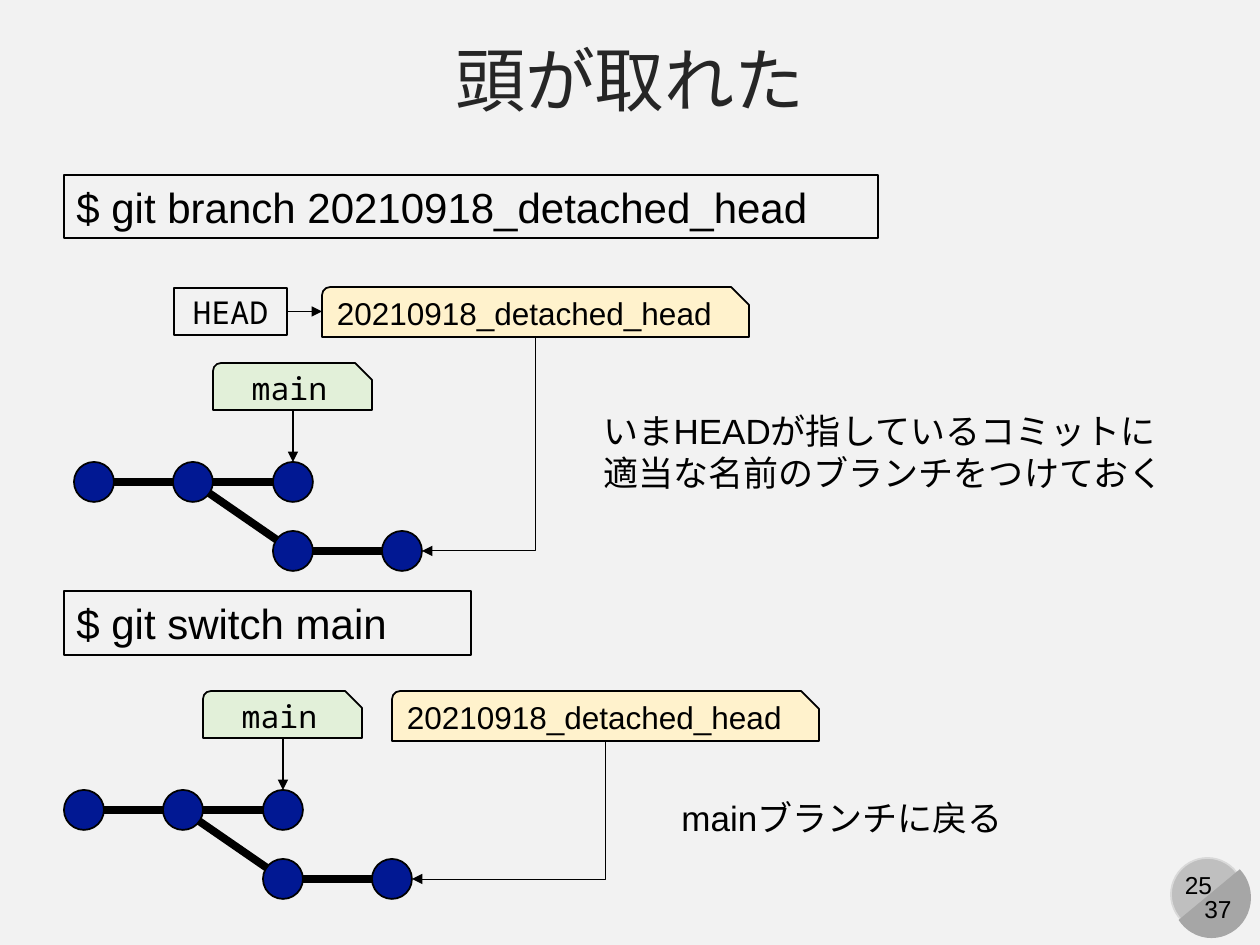
import math

import lxml.etree
import pptx
import pptx.dml.color
import pptx.enum.shapes
import pptx.enum.text
import pptx.oxml.ns
import pptx.util

PIXEL = 914400 / 126
SHAPE = pptx.enum.shapes.MSO_SHAPE
ALIGN = pptx.enum.text.PP_ALIGN
ANCHOR = pptx.enum.text.MSO_ANCHOR

THEME = {
    "background": "F2F2F2", "ink": "000000", "title": "262626",
    "commit": "011893", "main": "E2F0D9", "branch": "FFF2CC",
    "badge": "BFBFBF", "badge_line": "D9D9D9", "badge_shade": "A6A6A6",
    "sans": "Arial", "mono": "Noto Sans Mono",
    "title_size": 40, "command_size": 24, "note_size": 20, "label_size": 18, "page_size": 14,
}

# Content: boxes are left, top, width, height
TITLE = ("頭が取れた", (0, 26, 1260, 104))
COMMANDS = [
    ("$ git branch 20210918_detached_head", (64, 175, 814, 63)),
    ("$ git switch main", (64, 591, 407, 64)),
]
NOTES = [
    ("いまHEADが指しているコミットに\n適当な名前のブランチをつけておく", (591, 403, 645, 97)),
    ("mainブランチに戻る", (669, 790, 407, 55)),
]
PAGE_NUMBERS = [("25", (1171, 864, 55, 43), False), ("37", (1184, 888, 68, 43), True)]
BRANCH_NAME = "20210918_detached_head"

# Commit graph, measured from the centre of its first commit
COMMITS = [(0, 0), (99, 0), (199, 0), (199, 69), (308, 69)]
EDGES = [(0, 1), (1, 2), (1, 3), (3, 4)]
MAIN_TIP, BRANCH_TIP = 2, 4
RADIUS = 20
MAIN_OFFSET, MAIN_SIZE = (119, -119), (159, 47)
BRANCH_SIZE = (427, 50)
GRAPHS = [
    {"origin": (94, 482), "branch": (322, 287), "head": (174, 288, 113, 47)},
    {"origin": (84, 810), "branch": (392, 691), "head": None},
]


def emu(pixels):
    return pptx.util.Emu(round(pixels * PIXEL))


def color(name):
    return pptx.dml.color.RGBColor.from_string(THEME[name])


def add_text(shape, text, size="label_size", font="sans", ink="ink",
             align=ALIGN.LEFT, anchor=ANCHOR.MIDDLE, wrap=True):
    frame = shape.text_frame
    frame.word_wrap = wrap
    frame.vertical_anchor = anchor
    frame.text = text
    for para in frame.paragraphs:
        para.alignment = align
        for span in para.runs:
            span.font.size = pptx.util.Pt(THEME[size])
            span.font.name = THEME[font]
            span.font.color.rgb = color(ink)


def add_box(kind, box, fill=None, line="ink", width=1, adjust=()):
    shape = page.shapes.add_shape(kind, *map(emu, box))
    shape.shadow.inherit = False
    for index, value in enumerate(adjust):
        shape.adjustments[index] = value
    if fill:
        shape.fill.solid()
        shape.fill.fore_color.rgb = color(fill)
    else:
        shape.fill.background()
    if line:
        shape.line.color.rgb = color(line)
        shape.line.width = pptx.util.Pt(width)
    else:
        shape.line.fill.background()
    return shape


def add_textbox(text, box, **style):
    add_text(page.shapes.add_textbox(*map(emu, box)), text, **style)


def add_line(start, end, width, arrow=False):
    line = page.shapes.add_connector(
        pptx.enum.shapes.MSO_CONNECTOR.STRAIGHT, *map(emu, (*start, *end)))
    line.line.color.rgb = color("ink")
    line.line.width = pptx.util.Pt(width)
    properties = line._element.spPr
    lxml.etree.SubElement(properties, pptx.oxml.ns.qn("a:effectLst"))
    if arrow:
        outline = line.line._get_or_add_ln()
        lxml.etree.SubElement(outline, pptx.oxml.ns.qn("a:tailEnd"), type="triangle")
    return line


def add_down_left_arrow(start, end, width):
    """One bend: a quarter-turned bentConnector2 runs down, then left."""
    across, down = start[0] - end[0], end[1] - start[1]
    middle_x, middle_y = (start[0] + end[0]) / 2, (start[1] + end[1]) / 2
    left, top = middle_x - down / 2, middle_y - across / 2
    line = add_line((left, top), (left + down, top + across), width, arrow=True)
    properties = line._element.spPr
    properties.find(pptx.oxml.ns.qn("a:prstGeom")).set("prst", "bentConnector2")
    properties.find(pptx.oxml.ns.qn("a:xfrm")).set("rot", str(90 * 60000))


def add_edge(first, second):
    """Join the rims of two commits."""
    length = math.dist(first, second)
    step = [(b - a) * RADIUS / length for a, b in zip(first, second)]
    add_line((first[0] + step[0], first[1] + step[1]),
             (second[0] - step[0], second[1] - step[1]), 4.5)


def add_label(text, box, fill, **style):
    label = add_box(SHAPE.SNIP_ROUND_RECTANGLE, box, fill, adjust=(0.167, 0.359))
    add_text(label, text, **style)


def add_graph(origin, branch, head):
    centres = [(origin[0] + x, origin[1] + y) for x, y in COMMITS]
    for first, second in EDGES:
        add_edge(centres[first], centres[second])
    for x, y in centres:
        add_box(SHAPE.OVAL, (x - RADIUS, y - RADIUS, 2 * RADIUS, 2 * RADIUS), "commit")

    # Main label and its arrow
    left, top = origin[0] + MAIN_OFFSET[0], origin[1] + MAIN_OFFSET[1]
    add_label("main", (left, top, *MAIN_SIZE), "main", font="mono", align=ALIGN.CENTER)
    tip_x, tip_y = centres[MAIN_TIP]
    add_line((tip_x, top + MAIN_SIZE[1]), (tip_x, tip_y - RADIUS), 1, arrow=True)

    # Branch label and its bent arrow
    add_label(BRANCH_NAME, (*branch, *BRANCH_SIZE), "branch")
    tip_x, tip_y = centres[BRANCH_TIP]
    add_down_left_arrow((branch[0] + BRANCH_SIZE[0] / 2, branch[1] + BRANCH_SIZE[1]),
                        (tip_x + RADIUS, tip_y), 0.5)

    # HEAD pointer
    if head:
        add_text(add_box(SHAPE.RECTANGLE, head), "HEAD", font="mono", align=ALIGN.CENTER)
        middle = head[1] + head[3] / 2
        add_line((head[0] + head[2], middle), (branch[0], middle), 0.5, arrow=True)


deck = pptx.Presentation()
deck.slide_width, deck.slide_height = emu(1260), emu(945)
page = deck.slides.add_slide(deck.slide_layouts[6])
page.background.fill.solid()
page.background.fill.fore_color.rgb = color("background")

# Page number badge
add_box(SHAPE.OVAL, (1171, 858, 73, 73), "badge", "badge_line")
shade = add_box(SHAPE.CHORD, (1171, 858, 81, 79), "badge_shade", None, adjust=(27, 141.424))
shade.rotation = 270
for number, box, wrap in PAGE_NUMBERS:
    add_textbox(number, box, size="page_size", align=ALIGN.CENTER, anchor=ANCHOR.TOP, wrap=wrap)

# Title, commands and notes
add_textbox(*TITLE, size="title_size", ink="title", align=ALIGN.CENTER)
for command, box in COMMANDS:
    add_text(add_box(SHAPE.RECTANGLE, box, width=0.75), command,
             size="command_size", anchor=ANCHOR.TOP)
for note, box in NOTES:
    add_textbox(note, box, size="note_size", anchor=ANCHOR.TOP)

# Commit graphs
for graph in GRAPHS:
    add_graph(**graph)

deck.save("out.pptx")
